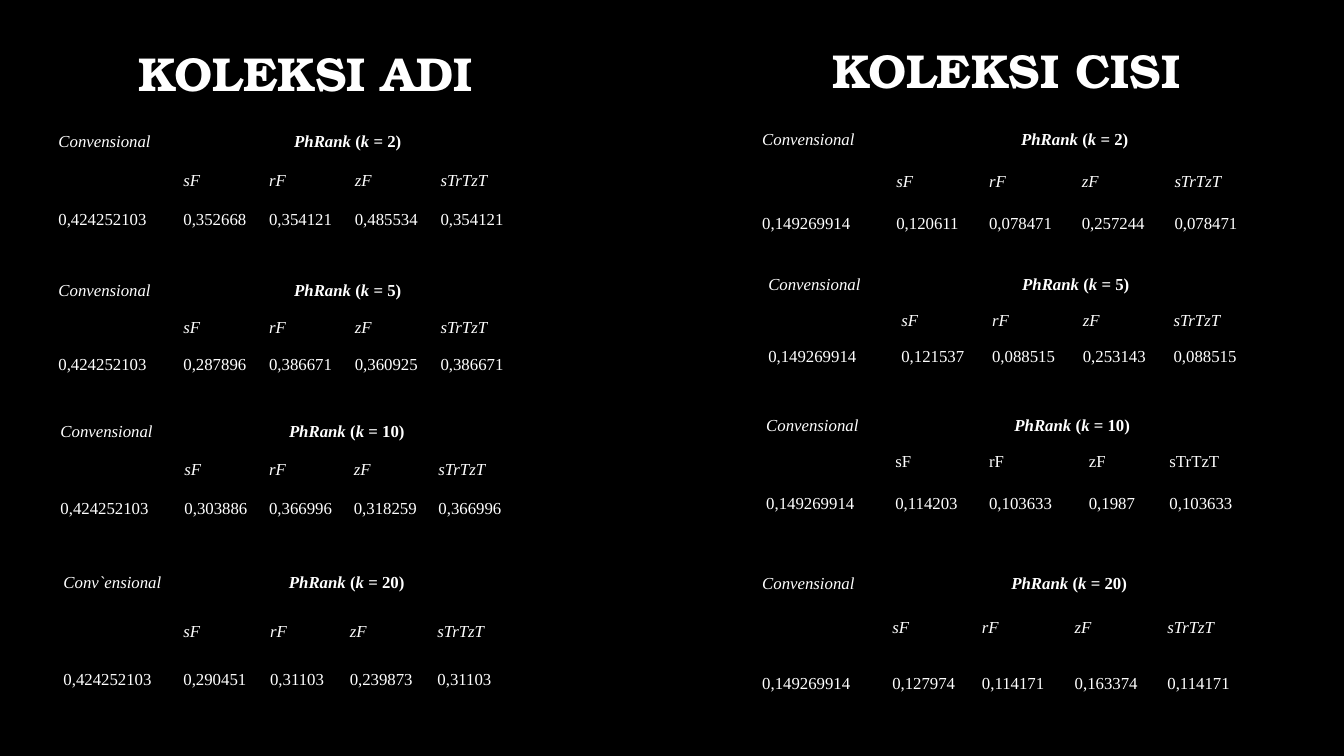
from pptx import Presentation, util as u
from pptx.dml.color import RGBColor
from pptx.enum import text
from pptx.oxml import parse_xml
from pptx.oxml.ns import nsdecls

COLORS = {"background": "000000", "text": "FFFFFF", "border": "000000"}
HEADING_FONT, TABLE_FONT = "TeX Gyre Bonum", "Times New Roman"
MEASURES = ["sF", "rF", "zF", "sTrTzT"]
ADI, CISI = "0,424252103", "0,149269914"


class ResultSlide:
    """Holds the style and the slide that its methods draw on."""

    def __init__(self, prs):
        self.s = prs.slides.add_slide(prs.slide_layouts[5])
        fill = self.s.background.fill
        fill.solid()
        fill.fore_color.rgb = RGBColor.from_string(COLORS["background"])

    def style(self, r, font, size, bold=False, italic=False):
        r.font.name, r.font.size = font, u.Pt(size)
        r.font.bold, r.font.italic = bold, italic
        r.font.color.rgb = RGBColor.from_string(COLORS["text"])

    def heading(self, sp, words, left, top):
        sp.left, sp.top = u.Inches(left), u.Inches(top)
        sp.width, sp.height = u.Inches(3.96), u.Inches(1.45)
        tf = sp.text_frame
        tf.text = words
        tf.word_wrap = True
        tf.auto_size = text.MSO_AUTO_SIZE.NONE
        tf.vertical_anchor = text.MSO_ANCHOR.MIDDLE
        p = tf.paragraphs[0]
        p.alignment, p.line_spacing = text.PP_ALIGN.CENTER, 0.9
        self.style(p.runs[0], HEADING_FONT, 34, bold=True)

    def title(self, words, left, top):
        self.heading(self.s.shapes.title, words, left, top)

    def text_box(self, words, left, top):
        sp = self.s.shapes.add_textbox(0, 0, 0, 0)
        self.heading(sp, words, left, top)

    def clear_cell(self, cell):
        """Removes the fill and draws all four borders."""
        cell.margin_left = cell.margin_right = u.Inches(0.07)
        cell.margin_top = cell.margin_bottom = 0
        tcPr = cell._tc.get_or_add_tcPr()
        for side in ("lnL", "lnR", "lnT", "lnB"):
            tcPr.append(parse_xml(
                f'<a:{side} {nsdecls("a")} w="12700"><a:solidFill>'
                f'<a:srgbClr val="{COLORS["border"]}"/></a:solidFill></a:{side}>'))
        cell.fill.background()

    def cell_text(self, cell, parts, bold=False, centered=False, hanging=False):
        """Sets (words, italic) parts as the runs of one paragraph."""
        p = cell.text_frame.paragraphs[0]
        for words, italic in parts:
            r = p.add_run()
            r.text = words
            self.style(r, TABLE_FONT, 12, bold, italic)
        p.alignment = text.PP_ALIGN.JUSTIFY
        if hanging:
            p.alignment = text.PP_ALIGN.LEFT
            pPr = p._p.get_or_add_pPr()
            pPr.set("marL", str(u.Inches(0.5)))
            pPr.set("indent", str(u.Inches(-0.5)))
        else:
            p.line_spacing, p.space_before = 1.5, u.Pt(6)
        if centered:
            p.alignment = text.PP_ALIGN.CENTER

    def table(self, k, left, top, widths, heights, values,
              label="Convensional", italic=True, hanging=False):
        frame = self.s.shapes.add_table(
            len(heights), len(widths), u.Inches(left), u.Inches(top),
            u.Inches(sum(widths)), u.Inches(sum(heights)))
        tbl = frame.table
        tbl.first_row = tbl.horz_banding = False
        for column, width in zip(tbl.columns, widths):
            column.width = u.Inches(width)
        for row, height in zip(tbl.rows, heights):
            row.height = u.Inches(height)
        for cell in tbl.iter_cells():
            self.clear_cell(cell)
        tbl.cell(0, 0).merge(tbl.cell(1, 0))
        tbl.cell(0, 1).merge(tbl.cell(0, 4))

        self.cell_text(tbl.cell(0, 0), [(label, True)], hanging=hanging)
        self.cell_text(tbl.cell(0, 1),
                       [("PhRank", True), (" (", False), ("k", True), (f" = {k})", False)],
                       bold=True, centered=True, hanging=hanging)
        for col, name in enumerate(MEASURES, 1):
            self.cell_text(tbl.cell(1, col), [(name, italic)], hanging=hanging)
        for col, value in enumerate(values):
            self.cell_text(tbl.cell(2, col), [(value, False)], hanging=hanging)


def main():
    prs = Presentation()
    prs.slide_width, prs.slide_height = u.Inches(13.33), u.Inches(7.5)
    slide = ResultSlide(prs)

    slide.title("KOLEKSI CISI", 8, 0)
    slide.table(2, 0.51, 1.22, [1.24] + [0.85] * 4, [0.39] * 3,
                [ADI, "0,352668", "0,354121", "0,485534", "0,354121"])
    slide.table(5, 0.51, 2.7, [1.24] + [0.85] * 4, [0.37] * 3,
                [ADI, "0,287896", "0,386671", "0,360925", "0,386671"])
    slide.table(10, 0.53, 4.1, [1.23] + [0.84] * 4, [0.38] * 3,
                [ADI, "0,303886", "0,366996", "0,318259", "0,366996"])
    slide.table(20, 0.56, 5.6, [1.19, 0.86, 0.79, 0.87, 0.86], [0.48] * 3,
                [ADI, "0,290451", "0,31103", "0,239873", "0,31103"],
                label="Conv`ensional")

    slide.text_box("KOLEKSI ADI", 1.05, 0.03)
    slide.table(2, 7.49, 1.2, [1.33] + [0.92] * 4, [0.42] * 3,
                [CISI, "0,120611", "0,078471", "0,257244", "0,078471"])
    slide.table(5, 7.55, 2.73, [1.32] + [0.9] * 4, [0.36] * 3,
                [CISI, "0,121537", "0,088515", "0,253143", "0,088515"],
                hanging=True)
    slide.table(10, 7.53, 4.04, [1.28, 0.93, 0.99, 0.8, 0.93], [0.36, 0.41, 0.41],
                [CISI, "0,114203", "0,103633", "0,1987", "0,103633"],
                italic=False)
    slide.table(20, 7.49, 5.61, [1.29, 0.89, 0.92, 0.92, 0.92], [0.43, 0.56, 0.42],
                [CISI, "0,127974", "0,114171", "0,163374", "0,114171"])
    prs.save("out.pptx")


if __name__ == "__main__":
    main()
